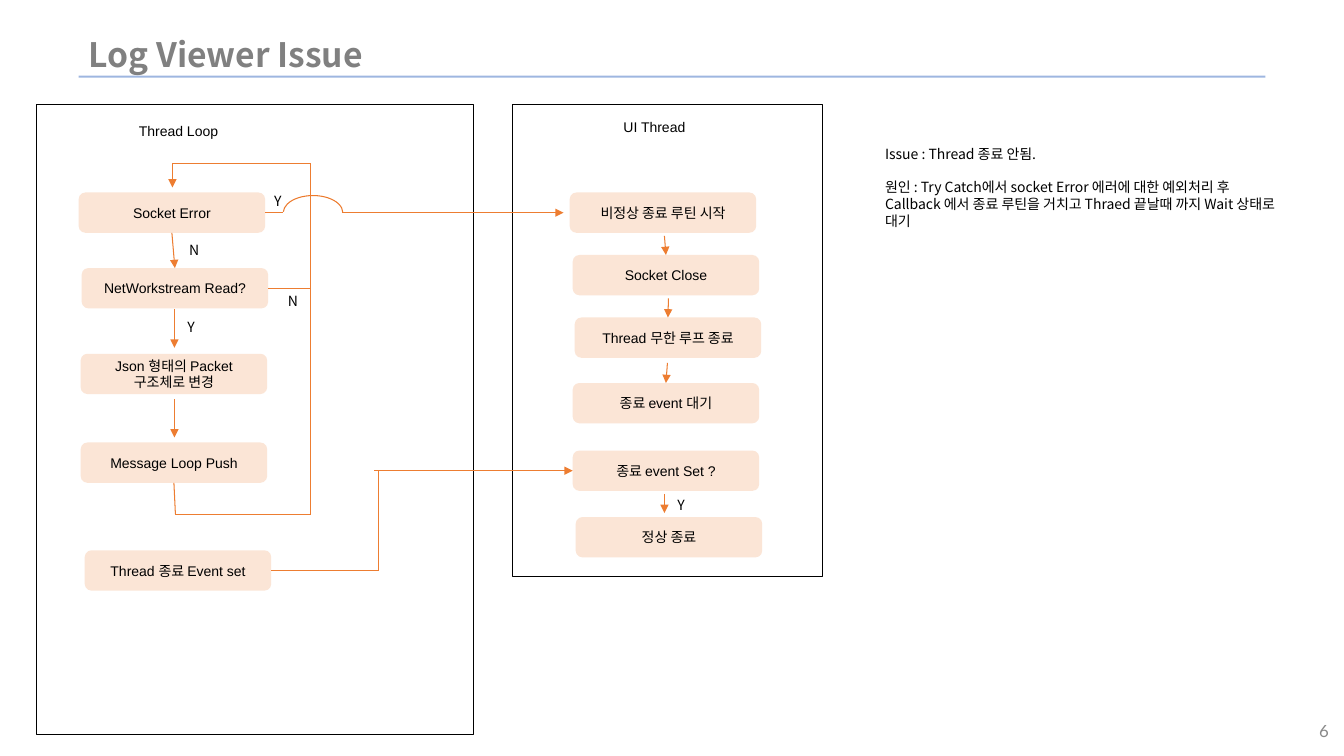
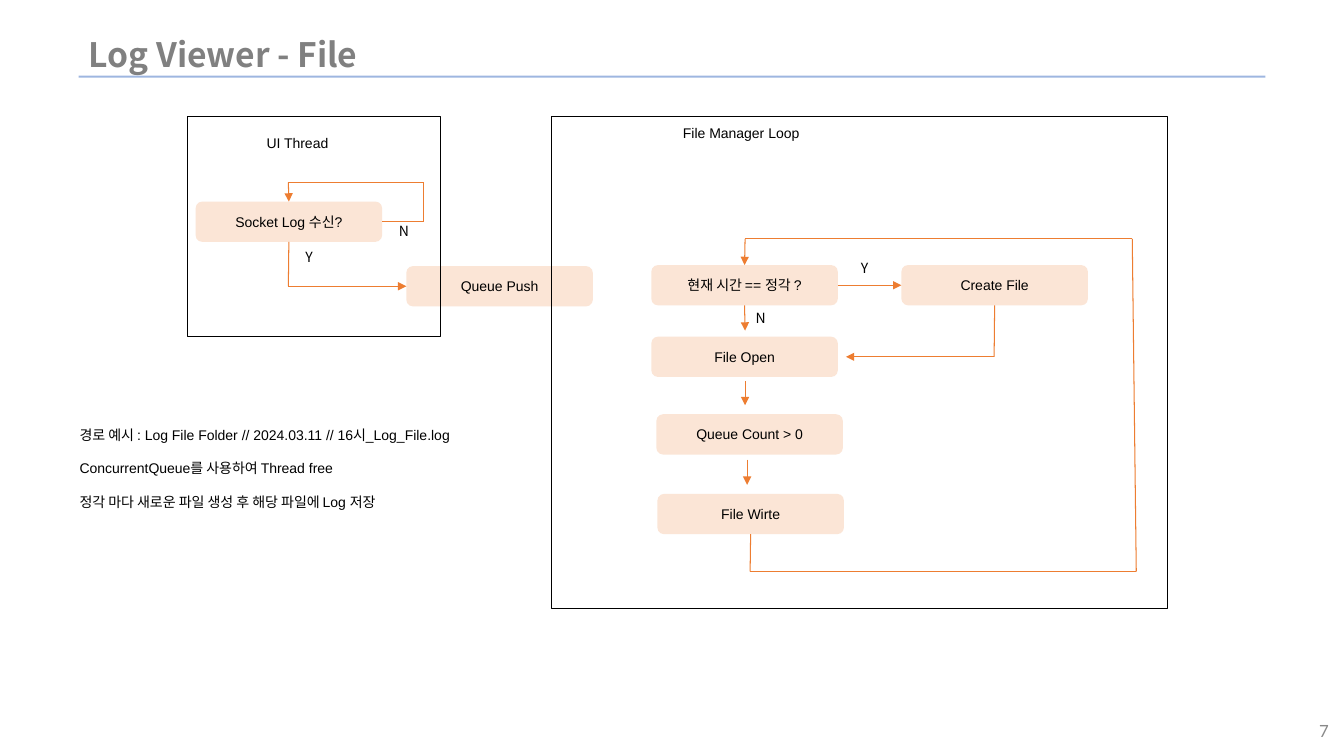
from lxml.etree import SubElement
from pptx import Presentation
from pptx.dml.color import RGBColor
from pptx.enum.shapes import MSO_CONNECTOR, MSO_SHAPE
from pptx.enum.text import MSO_ANCHOR, MSO_AUTO_SIZE, PP_ALIGN
from pptx.oxml.ns import qn
from pptx.util import Inches, Pt

BLACK = RGBColor(0x00, 0x00, 0x00)
TITLE_GRAY = RGBColor(0x80, 0x80, 0x80)
NUMBER_GRAY = RGBColor(0x89, 0x89, 0x89)
RULE_BLUE = RGBColor(0x3F, 0x6F, 0xC3)
STEP_PEACH = RGBColor(0xFB, 0xE5, 0xD6)
FLOW_ORANGE = RGBColor(0xED, 0x7D, 0x31)
ARC_ORANGE = RGBColor(0xEC, 0x79, 0x2B)

KOREAN = "Noto Sans CJK KR"
LATIN = "Arial"
STEP_WIDTH, STEP_HEIGHT = 1.85, 0.4
LABEL_HEIGHT = 0.27
TOP, LEFT, BOTTOM, RIGHT = range(4)

PAGES = [
    {
        "title": "Log Viewer Issue",
        "number": "6",
        "steps": {
            "error": ("Socket Error", 0.78, 1.91),
            "read": ("NetWorkstream Read?", 0.81, 2.66),
            "json": ("Json 형태의 Packet 구조체로 변경", 0.8, 3.51),
            "push": ("Message Loop Push", 0.8, 4.39),
            "event": ("Thread 종료 Event set", 0.84, 5.46),
            "abort": ("비정상 종료 루틴 시작", 5.65, 1.91),
            "close": ("Socket Close", 5.68, 2.53),
            "exit": ("Thread 무한 루프 종료", 5.7, 3.15),
            "wait": ("종료 event 대기", 5.68, 3.8),
            "set": ("종료 event Set ?", 5.68, 4.47),
            "end": ("정상 종료", 5.71, 5.13),
        },
        "panels": [(0.36, 1.04, 4.34, 6.25), (5.08, 1.04, 3.08, 4.68)],
        "captions": [("Thread Loop", 1.08, 1.17, 1.38), ("UI Thread", 5.8, 1.13, 1.38)],
        "answers": [("Y", 2.56, 1.86), ("N", 1.73, 2.35), ("N", 2.71, 2.85),
                    ("Y", 1.7, 3.11), ("Y", 6.56, 4.88)],
        "arrows": [
            (("error", BOTTOM), ("read", TOP)),
            ((1.73, 3.07), (1.73, 3.45)),
            ((1.73, 3.96), (1.73, 4.34)),
            ((1.71, 1.62), (1.71, 1.86)),
            ((3.39, 2.11), (5.59, 2.11)),
            ((6.59, 2.34), ("close", TOP)),
            ((6.63, 2.96), ("exit", TOP)),
            ((6.62, 3.6), ("wait", TOP)),
            ((6.59, 4.9), (6.59, 5.09)),
            ((3.71, 4.67), ("set", LEFT)),
        ],
        "lines": [
            (("push", BOTTOM), (1.74, 5.1)),
            ((1.74, 5.1), (3.08, 5.1)),
            ((3.08, 5.1), (3.08, 1.62)),
            ((3.08, 1.62), (1.71, 1.62)),
            (("read", RIGHT), (3.08, 2.86)),
            (("error", RIGHT), (2.81, 2.11)),
            (("event", RIGHT), (3.75, 5.66)),
            ((3.75, 5.66), (3.75, 4.67)),
        ],
        "bridges": [(2.81, 1.94, 0.59, 0.34)],
        "notes_box": (8.68, 1.39, 4.17, 0.94),
        "notes_font": KOREAN,
        "notes": [
            ("Issue : Thread 종료 안됨.", 0),
            ("원인 : Try Catch에서 socket Error 에러에 대한 예외처리 후", 12),
            ("Callback 에서 종료 루틴을 거치고 Thraed 끝날때 까지 Wait 상태로 대기", 0),
        ],
    },
    {
        "title": "Log Viewer - File",
        "number": "7",
        "steps": {
            "receive": ("Socket Log 수신?", 1.94, 2),
            "push": ("Queue Push", 4.03, 2.64),
            "hour": ("현재 시간 == 정각 ?", 6.46, 2.63),
            "create": ("Create File", 8.94, 2.63),
            "open": ("File Open", 6.46, 3.34),
            "count": ("Queue Count > 0", 6.51, 4.11),
            "write": ("File Wirte", 6.52, 4.9),
        },
        "panels": [(1.86, 1.15, 2.51, 2.19), (5.47, 1.15, 6.11, 4.89)],
        "captions": [("UI Thread", 2.33, 1.29, 1.24), ("File Manager Loop", 6.66, 1.19, 1.38)],
        "answers": [("Y", 2.87, 2.42), ("N", 3.81, 2.16), ("Y", 8.38, 2.53), ("N", 7.35, 3.02)],
        "arrows": [
            ((2.86, 1.81), ("receive", TOP)),
            ((2.86, 2.84), ("push", LEFT)),
            (("hour", BOTTOM), (7.39, 3.28)),
            (("hour", RIGHT), ("create", LEFT)),
            ((7.39, 2.37), ("hour", TOP)),
            ((9.86, 3.54), (8.39, 3.54)),
            ((7.39, 3.78), (7.39, 4.02)),
            ((7.41, 4.56), (7.41, 4.81)),
        ],
        "lines": [
            (("receive", RIGHT), (4.2, 2.2)),
            ((4.2, 2.2), (4.2, 1.81)),
            ((4.2, 1.81), (2.86, 1.81)),
            (("receive", BOTTOM), (2.86, 2.84)),
            (("create", BOTTOM), (9.86, 3.54)),
            (("write", BOTTOM), (7.44, 5.67)),
            ((7.44, 5.67), (11.27, 5.67)),
            ((11.27, 5.67), (11.23, 2.37)),
            ((11.23, 2.37), (7.39, 2.37)),
        ],
        "bridges": [],
        "notes_box": (0.69, 4.18, 4.31, 0.94),
        "notes_font": LATIN,
        "notes": [
            ("경로 예시 : Log File Folder // 2024.03.11 // 16시_Log_File.log", 0),
            ("ConcurrentQueue를 사용하여 Thread free", 12),
            ("정각 마다 새로운 파일 생성 후 해당 파일에 Log 저장", 12),
        ],
    },
]


def write(shape, text, font=LATIN, size=10, color=BLACK, align=PP_ALIGN.CENTER, anchor=MSO_ANCHOR.MIDDLE):
    frame = shape.text_frame
    frame.word_wrap = True
    frame.auto_size = MSO_AUTO_SIZE.NONE
    frame.vertical_anchor = anchor
    frame.text = text
    for paragraph in frame.paragraphs:
        paragraph.alignment = align
        paragraph.font.name = font
        paragraph.font.size = Pt(size)
        paragraph.font.color.rgb = color
    return frame.paragraphs


def connect(slide, start, end, steps, color=FLOW_ORANGE, width=0.75, arrow=False):
    points = [(0, 0) if isinstance(point[0], str) else point for point in (start, end)]
    connector = slide.shapes.add_connector(
        MSO_CONNECTOR.STRAIGHT, *[Inches(value) for point in points for value in point])
    for point, join in ((start, connector.begin_connect), (end, connector.end_connect)):
        if isinstance(point[0], str):
            join(steps[point[0]], point[1])
    connector.line.color.rgb = color
    connector.line.width = Pt(width)
    if arrow:
        SubElement(connector.line._get_or_add_ln(), qn("a:tailEnd"), type="triangle")
    SubElement(connector.element.spPr, qn("a:effectLst"))
    return connector


prs = Presentation()
prs.slide_width, prs.slide_height = Inches(13.33), Inches(7.5)
layout = prs.slide_layouts[5]
for placeholder in list(layout.placeholders):
    if placeholder.placeholder_format.idx == 0:
        placeholder.left, placeholder.top = Inches(0.78), Inches(0.31)
        placeholder.width, placeholder.height = Inches(11.76), Inches(0.45)
    else:
        layout.shapes.element.remove(placeholder.element)

for page in PAGES:
    slide = prs.slides.add_slide(layout)
    heading = write(slide.shapes.title, page["title"], KOREAN, 24, TITLE_GRAY, PP_ALIGN.LEFT)
    heading[0].font.bold = True

    if page is PAGES[0]:
        rule = connect(slide, (0.78, 0.76), (12.55, 0.76), {}, RULE_BLUE, 1.5)
        for tint in rule.element.iter(qn("a:srgbClr")):
            SubElement(tint, qn("a:alpha"), val="50000")
        layout.shapes.element.append(rule.element)

    number = slide.shapes.add_textbox(Inches(10.68), Inches(7.05), Inches(2.6), Inches(0.4))
    write(number, page["number"], "Lato", 12, NUMBER_GRAY, PP_ALIGN.RIGHT)

    steps = {}
    for key, (text, left, top) in page["steps"].items():
        step = slide.shapes.add_shape(
            MSO_SHAPE.ROUNDED_RECTANGLE, Inches(left), Inches(top), Inches(STEP_WIDTH), Inches(STEP_HEIGHT))
        step.shadow.inherit = False
        step.fill.solid()
        step.fill.fore_color.rgb = STEP_PEACH
        step.line.fill.background()
        write(step, text)
        steps[key] = step

    outlines = [(MSO_SHAPE.RECTANGLE, box, BLACK, 0.5) for box in page["panels"]]
    outlines += [(MSO_SHAPE.ARC, box, ARC_ORANGE, 0.75) for box in page["bridges"]]
    for preset, box, color, width in outlines:
        outline = slide.shapes.add_shape(preset, *map(Inches, box))
        outline.shadow.inherit = False
        outline.fill.background()
        outline.line.color.rgb = color
        outline.line.width = Pt(width)
        if preset == MSO_SHAPE.ARC:
            outline.adjustments[0] = 109.04
            outline.adjustments[1] = 0

    labels = [(*caption, LATIN) for caption in page["captions"]]
    labels += [(*answer, 0.39, KOREAN) for answer in page["answers"]]
    for text, left, top, width, font in labels:
        label = slide.shapes.add_textbox(Inches(left), Inches(top), Inches(width), Inches(LABEL_HEIGHT))
        write(label, text, font, anchor=MSO_ANCHOR.TOP)

    for start, end in page["lines"]:
        connect(slide, start, end, steps)
    for start, end in page["arrows"]:
        connect(slide, start, end, steps, arrow=True)

    notes = slide.shapes.add_textbox(*map(Inches, page["notes_box"]))
    text = "\n".join(line for line, gap in page["notes"])
    paragraphs = write(notes, text, page["notes_font"], align=PP_ALIGN.LEFT, anchor=MSO_ANCHOR.TOP)
    for paragraph, (line, gap) in zip(paragraphs, page["notes"]):
        paragraph.space_before = Pt(gap)

prs.save("out.pptx")
